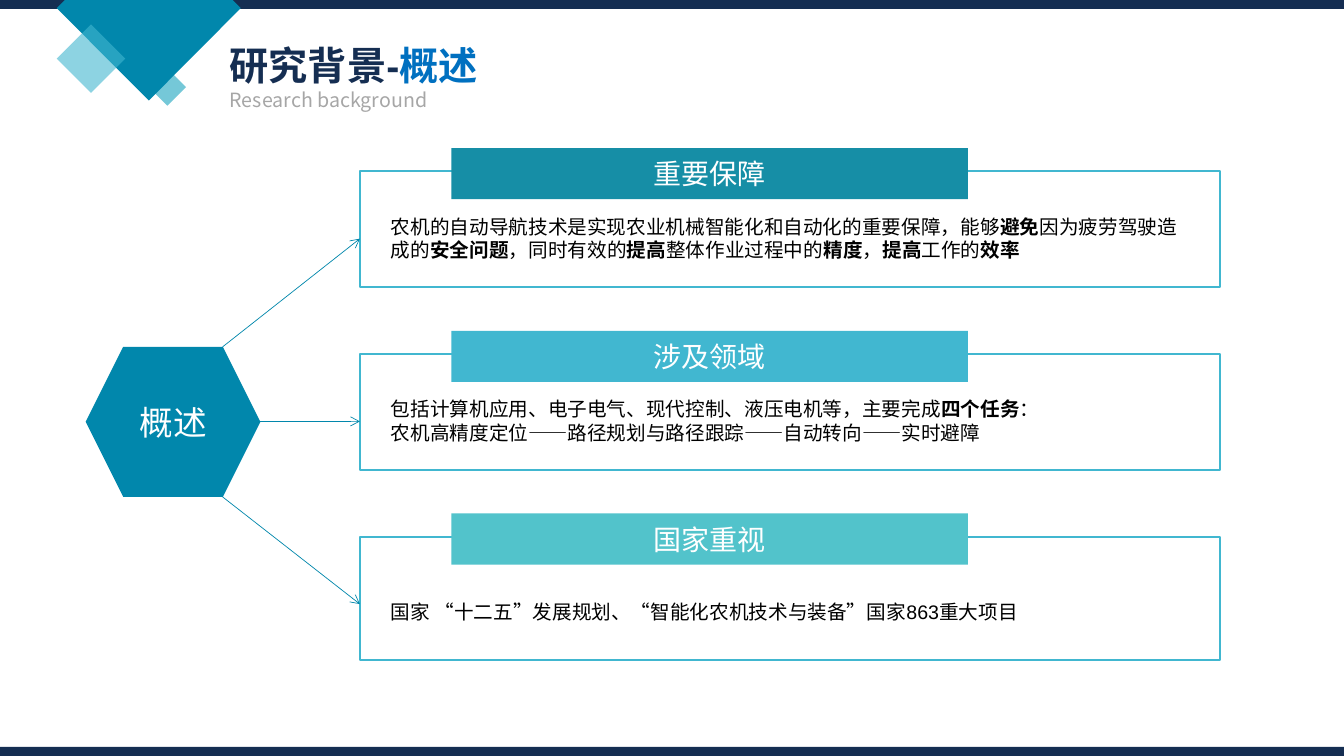
from lxml import etree
from pptx import Presentation
from pptx.dml.color import RGBColor
from pptx.enum import shapes, text
from pptx.oxml import ns
from pptx.util import Pt

COLORS = {
    "navy": "152E52", "blue": "0070C0", "teal": "0187AC", "sky": "41B7D0",
    "aqua": "1AA4BE", "deep": "168EA6", "mint": "52C3CB",
    "gray": "A6A6A6", "black": "000000", "white": "FFFFFF",
}
RGB = {name: RGBColor.from_string(value) for name, value in COLORS.items()}
CJK = "Noto Sans CJK SC"
SHAPE = shapes.MSO_SHAPE


def add_block(kind, x, y, w, h, fill=None, alpha=None):
    """Add a shape without shadow; without a fill it gets the panel outline."""
    sp = s.shapes.add_shape(kind, Pt(x), Pt(y), Pt(w), Pt(h))
    sp.shadow.inherit = False
    if fill:
        sp.fill.solid()
        sp.fill.fore_color.rgb = RGB[fill]
        sp.line.fill.background()
    else:
        sp.fill.background()
        sp.line.color.rgb = RGB["sky"]
        sp.line.width = Pt(1.5)
    if alpha:
        color = sp.fill._xPr.find(".//" + ns.qn("a:srgbClr"))
        etree.SubElement(color, ns.qn("a:alpha"), val=str(alpha * 1000))
    return sp


def write(sp, lines, size, color, font="Arial", align=text.PP_ALIGN.LEFT):
    """Write one paragraph per line; parts between asterisks are bold."""
    tf = sp.text_frame
    tf.word_wrap = True
    for i, line in enumerate(lines):
        p = tf.paragraphs[0] if i == 0 else tf.add_paragraph()
        p.alignment = align
        p.font.name, p.font.size = font, Pt(size)
        p.font.color.rgb = RGB[color]
        etree.SubElement(p.font._element, ns.qn("a:ea"), typeface=CJK)
        for j, part in enumerate(line.split("*")):
            if part:
                r = p.add_run()
                r.text = part
                if j % 2:
                    r.font.bold = True
    return tf


prs = Presentation()
prs.slide_width, prs.slide_height = Pt(960), Pt(540)
s = prs.slides.add_slide(prs.slide_layouts[6])

# Page frame and corner ornament
add_block(SHAPE.DIAMOND, 106.3, 48.9, 26.6, 26.6, "aqua", 60)
add_block(SHAPE.RECTANGLE, 0, 0, 960, 6.4, "navy")
builder = s.shapes.build_freeform(Pt(46.4), Pt(0), scale=1)
corner = [(166.2, 0), (172, 5.8), (106.3, 71.8), (40.5, 5.8)]
builder.add_line_segments([(Pt(x), Pt(y)) for x, y in corner])
sp = builder.convert_to_shape()
sp.shadow.inherit = False
sp.fill.solid()
sp.fill.fore_color.rgb = RGB["teal"]
sp.line.fill.background()
add_block(SHAPE.DIAMOND, 40.5, 17.4, 49, 49, "sky", 60)
add_block(SHAPE.RECTANGLE, 0, 533.6, 960, 6.4, "navy")

# Headings
title = s.shapes.add_textbox(Pt(157), Pt(20.9), Pt(355), Pt(46))
p = write(title, ["*研究背景-*", ], 28, "navy").paragraphs[0]
p.line_spacing = 1.14
r = p.add_run()
r.text = "概述"
r.font.bold = True
r.font.color.rgb = RGB["blue"]
subtitle = s.shapes.add_textbox(Pt(157), Pt(56.9), Pt(634), Pt(25.2))
p = write(subtitle, ["Research background"], 14, "gray", CJK).paragraphs[0]
p.line_spacing = 1.14

# Hub
hub = add_block(SHAPE.HEXAGON, 61.2, 247.7, 124.8, 107.3, "teal")
write(hub, ["概述"], 24, "white", CJK, text.PP_ALIGN.CENTER)

# Topics: label, label colour, panel height, text top, arrow start, lines
topics = [
    ("重要保障", "deep", 83, 149.8, (159.1, 247.7),
     ["农机的自动导航技术是实现农业机械智能化和自动化的重要保障，能够*避免*因为疲劳驾驶造成的"
      "*安全问题*，同时有效的*提高*整体作业过程中的*精度*，*提高*工作的*效率*"]),
    ("涉及领域", "sky", 83, 280.1, (186, 301),
     ["包括计算机应用、电子电气、现代控制、液压电机等，主要完成*四个任务*：",
      "农机高精度定位——路径规划与路径跟踪——自动转向——实时避障"]),
    ("国家重视", "mint", 88.3, 424.8, (159.1, 355),
     ["国家 “十二五”发展规划、“智能化农机技术与装备”国家863重大项目"]),
]
for i, (label, fill, height, text_top, start, lines) in enumerate(topics):
    top = 122.3 + 130.5 * i
    add_block(SHAPE.RECTANGLE, 257.1, top, 614.6, height)
    banner = add_block(SHAPE.RECTANGLE, 322.4, top - 16.5, 369, 36.5, fill)
    write(banner, [label], 20, "white", CJK, text.PP_ALIGN.CENTER)
    body = s.shapes.add_textbox(Pt(272.2), Pt(text_top), Pt(584), Pt(24.5 if len(lines) == 1 and i else 41))
    write(body, lines, 14, "black")

    arrow = s.shapes.add_connector(
        shapes.MSO_CONNECTOR.STRAIGHT,
        Pt(start[0]), Pt(start[1]), Pt(257.1), Pt(170.5 + 130.5 * i))
    arrow.line.color.rgb = RGB["teal"]
    arrow.line.width = Pt(0.5)
    etree.SubElement(arrow.line._get_or_add_ln(), ns.qn("a:tailEnd"), type="arrow")
    etree.SubElement(arrow._element.spPr, ns.qn("a:effectLst"))

prs.save("out.pptx")
